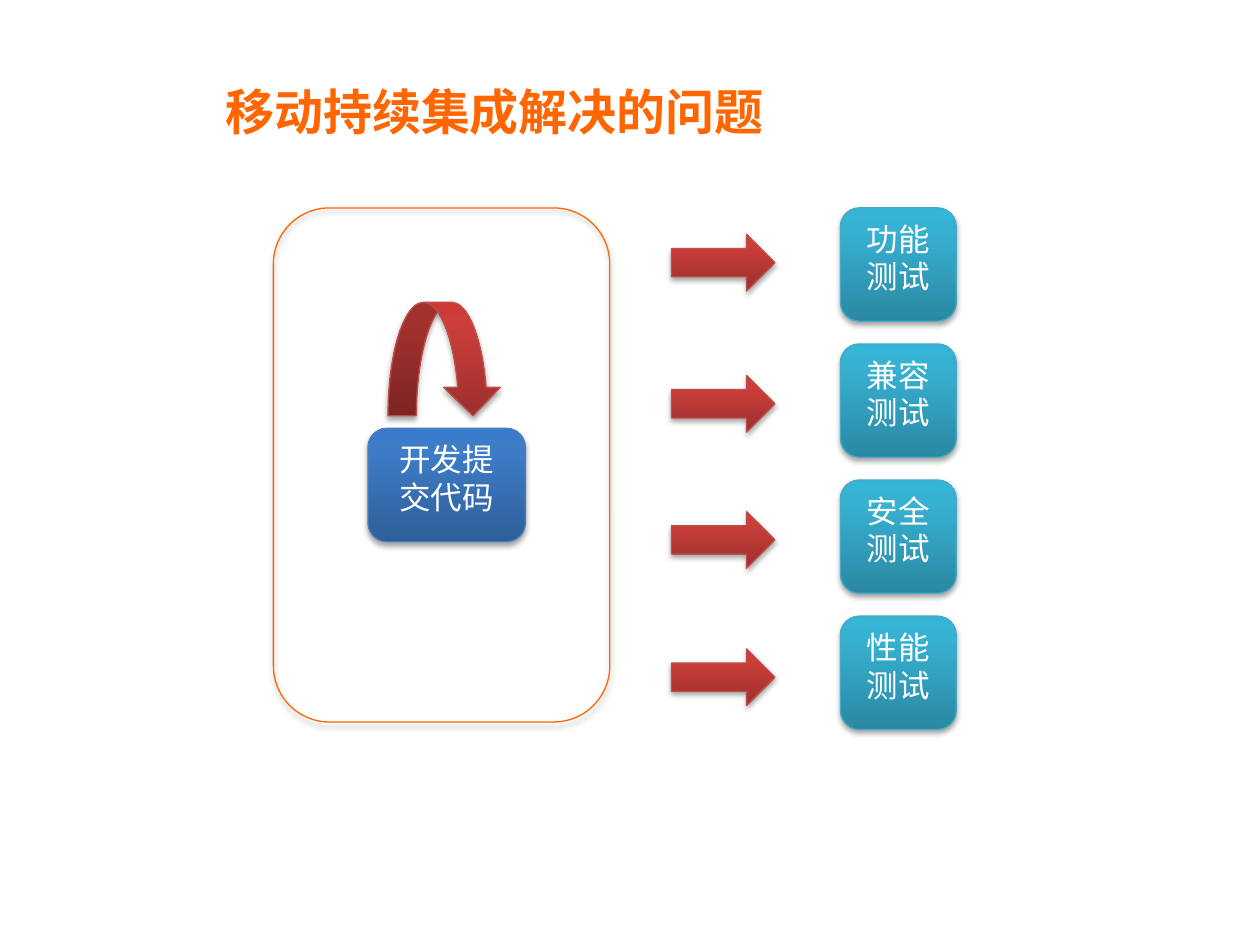
"""Build a slide on the problems that mobile continuous integration solves."""
from copy import deepcopy

from pptx import Presentation
from pptx.dml.color import RGBColor
from pptx.enum.shapes import MSO_SHAPE
from pptx.enum.text import MSO_ANCHOR, MSO_AUTO_SIZE, PP_ALIGN
from pptx.oxml import parse_xml
from pptx.oxml.ns import nsdecls, qn
from pptx.util import Inches, Pt

ORANGE = RGBColor(0xFF, 0x66, 0x00)
WHITE = RGBColor(0xFF, 0xFF, 0xFF)
BLUE_LINE = RGBColor(0x4B, 0x7E, 0xBC)
RED_LINE = RGBColor(0xBF, 0x4C, 0x48)
TEAL_LINE = RGBColor(0x46, 0xAA, 0xC5)
BLUES = (RGBColor(0x2F, 0x5F, 0x99), RGBColor(0x3D, 0x7C, 0xC7), RGBColor(0x3A, 0x7C, 0xCB))
REDS = (RGBColor(0x9C, 0x2F, 0x2D), RGBColor(0xCB, 0x3E, 0x3A), RGBColor(0xCE, 0x3B, 0x37))
TEALS = (RGBColor(0x2A, 0x88, 0xA2), RGBColor(0x37, 0xB1, 0xD2), RGBColor(0x34, 0xB4, 0xD6))
STOP_POSITIONS = (0, 0.8, 1)

TITLE = "移动持续集成解决的问题"
TITLE_FONT = "Noto Sans CJK SC"
COMMIT = "开发提交代码"
TESTS = [("功能测试", 1.86), ("兼容测试", 2.98), ("安全测试", 4.06), ("性能测试", 5.15)]
TEST_TOP, TEST_PITCH = 1.65, 1.08

SHADOW = (
    f'<a:outerShdw {nsdecls("a")} blurRad="40000" dist="23000" dir="5400000" rotWithShape="0">'
    '<a:srgbClr val="000000"><a:alpha val="35000"/></a:srgbClr></a:outerShdw>'
)


def add_title(slide):
    box = slide.shapes.add_textbox(Inches(1.69), Inches(0.6), Inches(6.17), Inches(0.57))
    frame = box.text_frame
    frame.word_wrap = True
    frame.auto_size = MSO_AUTO_SIZE.SHAPE_TO_FIT_TEXT
    paragraph = frame.paragraphs[0]
    paragraph.text = TITLE
    font = paragraph.font
    font.size, font.bold, font.name = Pt(28), True, TITLE_FONT
    font.color.rgb = ORANGE
    properties = paragraph._p.pPr.find(qn("a:defRPr"))
    properties.append(parse_xml(f'<a:ea {nsdecls("a")} typeface="{TITLE_FONT}"/>'))


def fill_gradient(shape, colors):
    shape.fill.gradient()
    shape.fill.gradient_angle = 90
    stop_list = shape._element.spPr.find(qn("a:gradFill")).find(qn("a:gsLst"))
    stop_list.append(deepcopy(stop_list[0]))
    for stop, position, color in zip(shape.fill.gradient_stops, STOP_POSITIONS, colors):
        stop.position = position
        stop.color.rgb = color


def add_block(slide, preset, bounds, line_color, colors=None, text=None):
    shape = slide.shapes.add_shape(preset, *map(Inches, bounds))
    if colors:
        fill_gradient(shape, colors)
    else:
        shape.fill.background()
    shape.line.color.rgb = line_color
    shape.line.width = Pt(0.75)
    shape.shadow.inherit = False
    shape._element.spPr.find(qn("a:effectLst")).append(parse_xml(SHADOW))
    if text:
        shape.text_frame.vertical_anchor = MSO_ANCHOR.TOP
        paragraph = shape.text_frame.paragraphs[0]
        paragraph.text = text
        paragraph.alignment = PP_ALIGN.CENTER
        paragraph.font.size = Pt(18)
        paragraph.font.name = "Calibri"
        paragraph.font.color.rgb = WHITE


def main():
    presentation = Presentation()
    presentation.slide_width, presentation.slide_height = Inches(10), Inches(7.5)
    slide = presentation.slides.add_slide(presentation.slide_layouts[6])
    rounded = MSO_SHAPE.ROUNDED_RECTANGLE

    add_title(slide)
    add_block(slide, rounded, (2.92, 3.4, 1.25, 0.9), BLUE_LINE, BLUES, COMMIT)
    add_block(slide, MSO_SHAPE.CURVED_DOWN_ARROW, (3.08, 2.4, 0.9, 0.9), RED_LINE, REDS)
    add_block(slide, rounded, (2.17, 1.65, 2.67, 4.08), ORANGE)
    for index, (name, arrow_top) in enumerate(TESTS):
        test_top = TEST_TOP + index * TEST_PITCH
        add_block(slide, rounded, (6.67, test_top, 0.92, 0.9), TEAL_LINE, TEALS, name)
        add_block(slide, MSO_SHAPE.RIGHT_ARROW, (5.33, arrow_top, 0.82, 0.45), RED_LINE, REDS)

    presentation.save("out.pptx")


if __name__ == "__main__":
    main()
